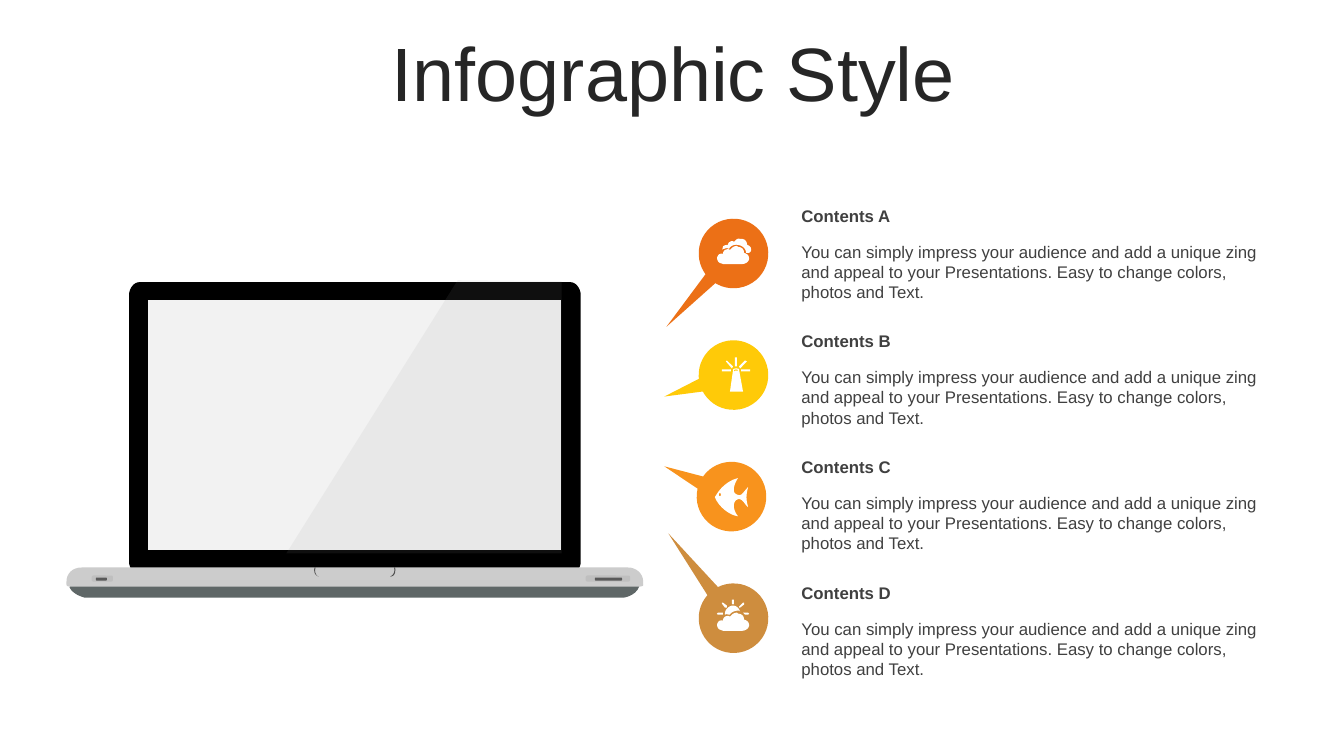
from lxml.etree import SubElement
from pptx import Presentation
from pptx.dml.color import RGBColor
from pptx.enum.shapes import MSO_SHAPE
from pptx.enum.text import MSO_ANCHOR, PP_ALIGN
from pptx.oxml.ns import qn
from pptx.util import Inches, Pt

UNIT = Inches(0.01)  # outlines and the layout grid count in hundredths of an inch
CURVE_STEPS = 8
BADGE_SIZE = 69
BADGE_TOP, BADGE_PITCH = 217, 120.6
TEXT_LEFT, TEXT_WIDTH = 785, 484
TEXT_TOP, TEXT_PITCH = 199, 124.7
BODY = ("You can simply impress your audience and add a unique zing and appeal "
        "to your Presentations. Easy to change colors, photos and Text.")

UNDERSIDE = ("M 618,593 C 618,593 630,592 634,582 634,579 632,577 629,577 "
             "L 82,579 75,579 C 72,579 69,581 69,583 73,590 81,592 84,593")
LID = ("M 576,557 C 576,564 571,570 566,570 L 138,570 C 133,570 128,564 128,557 "
       "L 128,293 C 128,286 133,280 138,280 L 566,280 C 571,280 576,286 576,293")
SCREEN = "M 147,298 L 556,298 556,546 147,546"
DECK_EDGE = ("M 81,563 L 623,563 C 631,563 638,569 638,577 L 638,580 "
             "C 638,580 639,582 633,582 L 71,582 C 69,582 66,582 66,580 "
             "L 66,577 C 66,569 72,563 81,563")
NOTCH = ("M 312,563 L 313,563 C 313,563 311,570 316,572 310,570 312,563 312,563 "
         "M 391,563 L 392,563 C 393,571 389,572 387,572 389,571 392,569 391,563")
GLARE = "M 454,278 L 557,279 557,549 284,549"

CLOUD = ("M 38,27 C 38,27 39,28 39,28 44,28 45,32 45,34 50,35 50,39 50,40 "
         "49,44 45,45 43,45 L 24,45 C 22,44 20,44 19,42 18,40 18,38 19,37 "
         "19,36 21,34 24,35 24,33 25,32 26,31 28,30 30,30 31,31 32,30 34,27 38,27 ")
CLOUDS = CLOUD + (
    "M 41,20 C 42,20 42,20 42,20 47,20 48,24 48,26 52,27 52,30 52,31 "
    "52,33 50,34 49,34 48,34 47,34 47,34 47,31 45,27 39,26 34,25 31,28 30,30 "
    "29,29 27,29 25,30 24,30 24,30 24,31 23,30 24,29 24,28 24,27 26,26 29,26 "
    "29,25 30,23 31,23 32,22 34,22 35,23 36,22 38,19 41,20")
SUN_AND_CLOUD = CLOUD + (
    "M 44,27 L 49,27 50,28 49,29 46,29 M 19,27 L 24,27 24,29 19,29 18,28 "
    "M 34,20 C 37,20 40,22 41,26 41,25 40,25 39,25 34,25 31,28 31,29 "
    "29,29 28,28 26,29 26,28 26,28 26,28 26,24 30,20 34,20 "
    "M 44,17 L 45,17 45,19 41,22 40,22 40,21 M 24,17 L 28,20 28,22 26,22 23,18 23,17 "
    "M 33,14 L 35,14 35,18 34,19 33,18")
LIGHTHOUSE = (
    "M 37,29 C 36,29 35,29 35,30 L 35,31 C 36,30 37,30 37,30 38,30 39,30 39,31 "
    "L 39,30 C 39,29 38,29 37,29 M 42,29 L 51,29 51,31 42,31 "
    "M 23,29 L 32,29 32,31 23,31 "
    "M 37,28 C 38,28 40,28 40,29 L 44,51 31,51 34,30 C 34,28 36,28 37,28 "
    "M 46,20 L 48,21 41,28 40,26 M 28,20 L 34,26 33,28 27,21 "
    "M 36,17 L 38,17 38,26 36,26")
FISH = (
    "M 23,31 C 22,31 22,32 22,33 22,33 22,34 23,34 24,34 24,33 24,33 24,32 24,31 23,31 "
    "M 41,16 C 37,22 35,30 39,32 45,35 45,31 51,25 48,36 50,40 51,45 "
    "47,42 45,34 39,38 35,42 37,49 41,54 33,53 22,45 18,35 20,32 26,20 41,16")

# heading, colour, badge left, callout tip, icon, icon drop
TOPICS = [
    ("Contents A", "EC7016", 693, (-0.373, 1.379), CLOUDS, 0),
    ("Contents B", "FFCA08", 693, (-0.742, 0.73), LIGHTHOUSE, 0),
    ("Contents C", "F8931D", 691, (-1.058, 0.056), FISH, 0),
    ("Contents D", "CE8D3E", 693, (-1.391, -0.654), SUN_AND_CLOUD, 2),
]


def units(*lengths):
    return [round(length * UNIT) for length in lengths]


def paint(shape, color, opacity=None):
    shape.shadow.inherit = False
    shape.line.fill.background()
    shape.fill.solid()
    shape.fill.fore_color.rgb = RGBColor.from_string(color)
    if opacity is not None:
        tint = shape.fill._xPr.find(qn("a:solidFill"))[0]
        SubElement(tint, qn("a:alpha")).set("val", str(opacity * 1000))


def curve(start, *controls):
    """Points along a cubic curve, without its start."""
    points = []
    for step in range(1, CURVE_STEPS + 1):
        t = step / CURVE_STEPS
        weights = ((1 - t) ** 3, 3 * t * (1 - t) ** 2, 3 * t * t * (1 - t), t ** 3)
        points.append(tuple(sum(w * p[axis] for w, p in zip(weights, (start, *controls)))
                            for axis in (0, 1)))
    return points


def contours(outline):
    """Turn M, L and C commands into lists of points."""
    loops, controls, command = [], [], "M"
    for token in outline.split():
        if token in "MLC":
            command = token
            continue
        point = tuple(float(number) for number in token.split(","))
        if command == "M":
            loops.append([point])
        elif command == "L":
            loops[-1].append(point)
        else:
            controls.append(point)
            if len(controls) == 3:
                loops[-1] += curve(loops[-1][-1], *controls)
                controls = []
    return loops


def add_outline(page, outline, color, left=0, top=0, opacity=None):
    builder = None
    for loop in contours(outline):
        first, *rest = [units(left + x, top + y) for x, y in loop]
        if builder is None:
            builder = page.shapes.build_freeform(*first)
        else:
            builder.move_to(*first)
        builder.add_line_segments(rest, close=True)
    paint(builder.convert_to_shape(), color, opacity)


def add_preset(page, kind, color, area, adjustments, rotation=0):
    shape = page.shapes.add_shape(kind, *units(*area))
    for index, value in enumerate(adjustments):
        shape.adjustments[index] = value
    shape.rotation = rotation
    paint(shape, color)


def add_text(page, text, area, size, color, bold=False):
    box = page.shapes.add_textbox(*units(*area))
    box.text_frame.word_wrap = True
    box.text_frame.text = text
    para = box.text_frame.paragraphs[0]
    font = para.runs[0].font
    font.name, font.size, font.bold = "Arial", Pt(size), bold
    font.color.rgb = RGBColor.from_string(color)
    return box


def add_title(page, text):
    box = add_text(page, text, (35, 37, 1266, 79), 54, "262626")
    box.text_frame.vertical_anchor = MSO_ANCHOR.MIDDLE
    para = box.text_frame.paragraphs[0]
    para.alignment = PP_ALIGN.CENTER
    para.line_spacing = 0.9


def add_laptop(page):
    for outline, color in ((UNDERSIDE, "5F6767"), (LID, "000000"), (SCREEN, "F2F2F2"),
                           (DECK_EDGE, "CCCCCC"), (NOTCH, "4D4D4D")):
        add_outline(page, outline, color)
    for bay_left, bay_width, slot_left, slot_width in ((91, 21, 95, 11), (581, 44, 590, 27)):
        for color, area in (("BFBFBF", (bay_left, 571, bay_width, 6)),
                            ("595959", (slot_left, 573, slot_width, 3))):
            add_preset(page, MSO_SHAPE.ROUNDED_RECTANGLE, color, area, [0.28])
    add_outline(page, GLARE, "999999", opacity=10)


def add_topic(page, row, heading, color, left, tip, icon, drop):
    top = BADGE_TOP + row * BADGE_PITCH
    add_preset(page, MSO_SHAPE.OVAL_CALLOUT, color,
               (left, top, BADGE_SIZE, BADGE_SIZE), tip, rotation=27.3)
    add_outline(page, icon, "FFFFFF", left, top + drop)
    text_top = TEXT_TOP + row * TEXT_PITCH
    add_text(page, heading, (TEXT_LEFT, text_top, TEXT_WIDTH, 30), 12, "404040", bold=True)
    add_text(page, BODY, (TEXT_LEFT, text_top + 35.5, TEXT_WIDTH, 71), 12, "404040")


def main():
    deck = Presentation()
    deck.slide_width, deck.slide_height = Inches(13.33), Inches(7.5)
    page = deck.slides.add_slide(deck.slide_layouts[6])
    add_laptop(page)
    add_title(page, "Infographic Style")
    for row, topic in enumerate(TOPICS):
        add_topic(page, row, *topic)
    deck.save("out.pptx")


if __name__ == "__main__":
    main()
